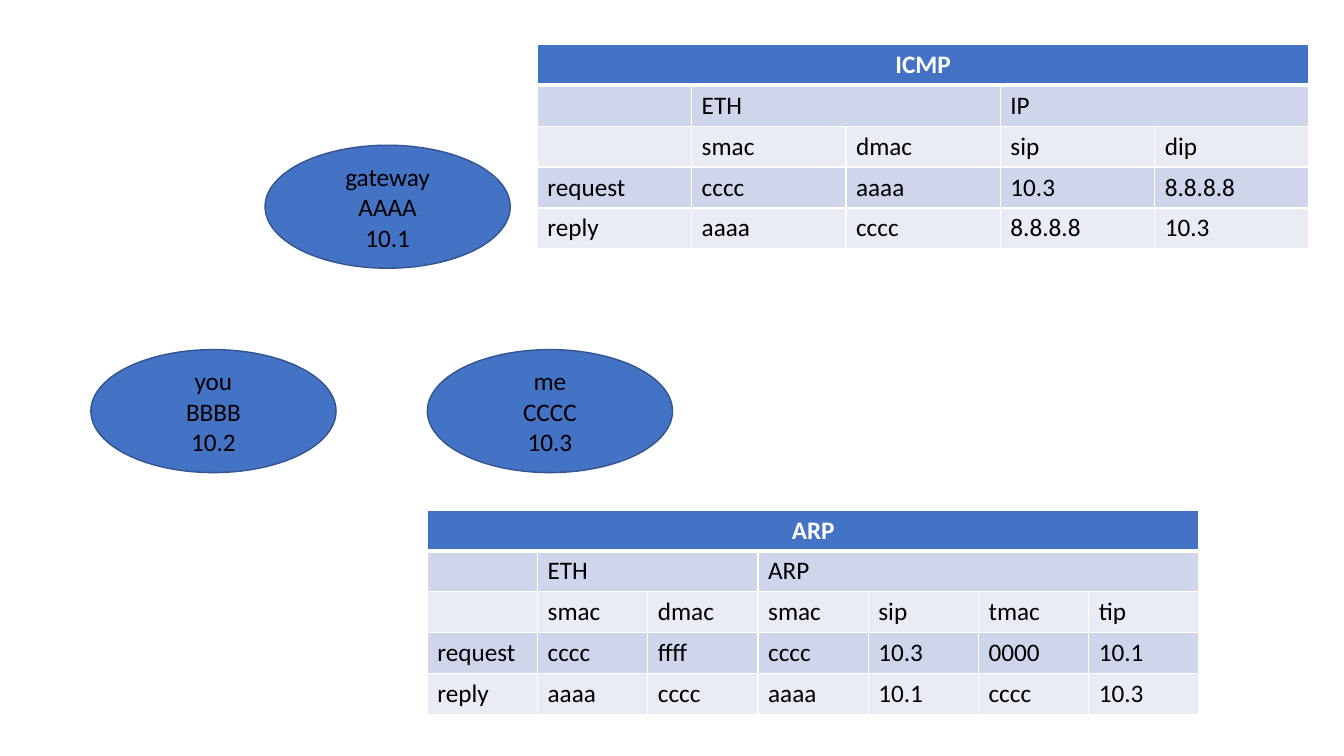
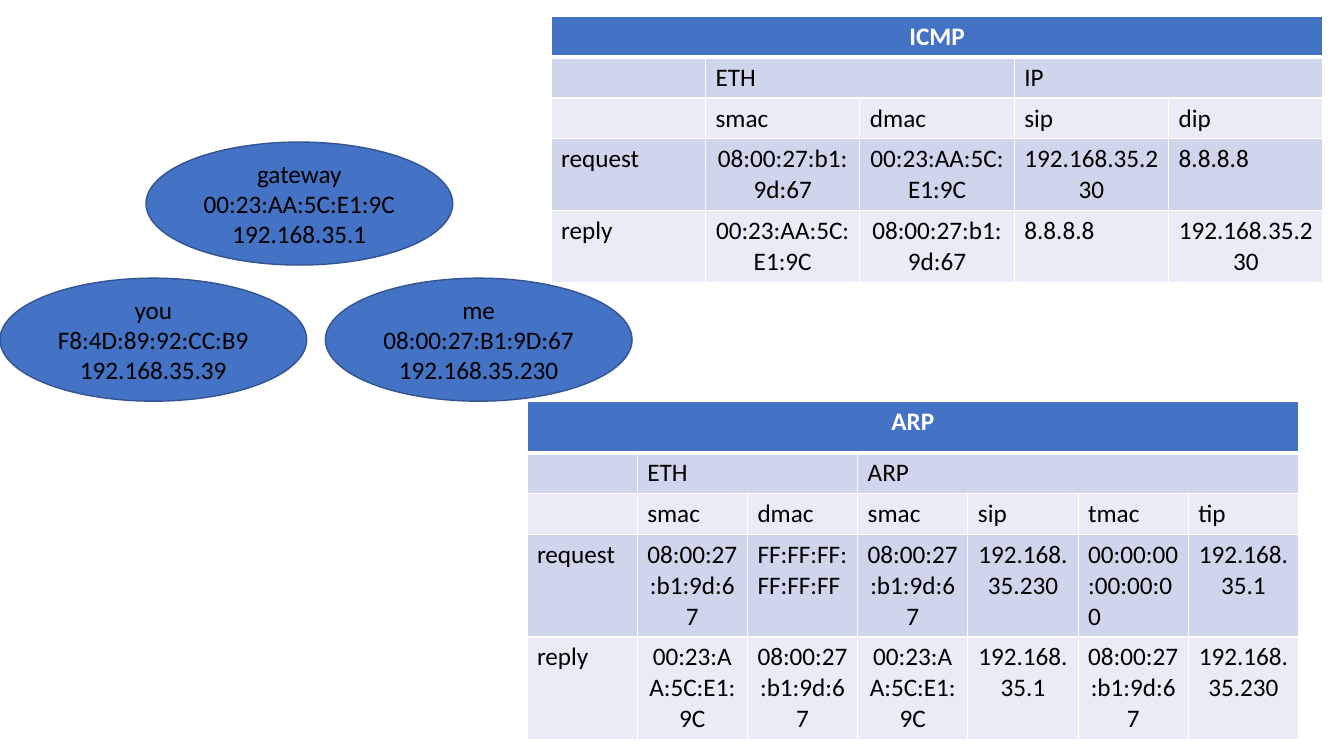
import dataclasses

import pptx
import pptx.dml.color
import pptx.enum.shapes
import pptx.enum.text
import pptx.oxml
import pptx.oxml.ns
import pptx.util

Cm = pptx.util.Cm
Pt = pptx.util.Pt
RGBColor = pptx.dml.color.RGBColor
CENTER = pptx.enum.text.PP_ALIGN.CENTER
LEFT = pptx.enum.text.PP_ALIGN.LEFT

BLUE = RGBColor(0x44, 0x72, 0xC4)
EDGE = RGBColor(0x32, 0x54, 0x91)
DARK = RGBColor(0xCF, 0xD5, 0xEA)
LIGHT = RGBColor(0xE9, 0xEB, 0xF5)
WHITE = RGBColor(0xFF, 0xFF, 0xFF)
BLACK = RGBColor(0x00, 0x00, 0x00)

FONT = "Calibri"
SIZE = Pt(18)
TABLE_W = 19.45
HEAD_H = 1.02
OVAL_H = 3.1
DNS = "8.8.8.8"


@dataclasses.dataclass
class Host:
    name: str
    mac: str
    ip: str


def write(frame, text, color, align, bold=False):
    frame.text = text
    for para in frame.paragraphs:
        para.alignment = align
        for run in para.runs:
            font = run.font
            font.name, font.size, font.bold = FONT, SIZE, bold
            font.color.rgb = color


def add_host(slide, host, left, top, width):
    oval = slide.shapes.add_shape(
        pptx.enum.shapes.MSO_SHAPE.OVAL,
        Cm(left), Cm(top), Cm(width), Cm(OVAL_H))
    oval.shadow.inherit = False
    oval.fill.solid()
    oval.fill.fore_color.rgb = BLUE
    oval.line.color.rgb = EDGE
    oval.line.width = Pt(1)
    frame = oval.text_frame
    frame.word_wrap = True
    frame.vertical_anchor = pptx.enum.text.MSO_ANCHOR.MIDDLE
    write(frame, "\n".join((host.name, host.mac.upper(), host.ip)),
          BLACK, CENTER)


def add_edges(cell, row):
    """Draw white cell borders, with a thick rule below the title row."""
    wide = {0: "lnB", 1: "lnT"}.get(row)
    props = cell._tc.get_or_add_tcPr()
    for pos, side in enumerate(("lnL", "lnR", "lnT", "lnB")):
        width = Pt(3 if side == wide else 1)
        props.insert(pos, pptx.oxml.parse_xml(
            f'<a:{side} {pptx.oxml.ns.nsdecls("a")} w="{width}">'
            f'<a:solidFill><a:srgbClr val="{WHITE}"/></a:solidFill>'
            f'</a:{side}>'))


def add_table(slide, left, top, rows, spans, heights, mid):
    """Add a packet table; spans lists (row, column, count) merges and
    mid holds the values that are centred."""
    count = len(rows[-1])
    frame = slide.shapes.add_table(
        len(rows), count, Cm(left), Cm(top), Cm(TABLE_W), Cm(sum(heights)))
    table = frame.table
    for col in table.columns:
        col.width = Cm(TABLE_W / count)
    for row, height in zip(table.rows, heights):
        row.height = Cm(height)
    for r, values in enumerate(rows):
        head = r == 0
        fill = BLUE if head else DARK if r % 2 else LIGHT
        for c in range(count):
            cell = table.cell(r, c)
            cell.fill.solid()
            cell.fill.fore_color.rgb = fill
            add_edges(cell, r)
            text = values[c] if c < len(values) else ""
            if text:
                align = CENTER if head or text in mid else LEFT
                write(cell.text_frame, text, WHITE if head else BLACK,
                      align, head)
    for r, c, size in spans:
        table.cell(r, c).merge(table.cell(r, c + size - 1))


def add_icmp(slide, left, top, me, gate, body, mid):
    rows = [
        ["ICMP"],
        ["", "ETH", "", "IP"],
        ["", "smac", "dmac", "sip", "dip"],
        ["request", me.mac, gate.mac, me.ip, DNS],
        ["reply", gate.mac, me.mac, DNS, me.ip],
    ]
    add_table(slide, left, top, rows, [(0, 0, 5), (1, 1, 2), (1, 3, 2)],
              [HEAD_H] * 3 + [body] * 2, mid)


def add_arp(slide, left, top, me, gate, cast, zero, head, body, mid):
    rows = [
        ["ARP"],
        ["", "ETH", "", "ARP"],
        ["", "smac", "dmac", "smac", "sip", "tmac", "tip"],
        ["request", me.mac, cast, me.mac, me.ip, zero, gate.ip],
        ["reply", gate.mac, me.mac, gate.mac, gate.ip, me.mac, me.ip],
    ]
    add_table(slide, left, top, rows, [(0, 0, 7), (1, 1, 2), (1, 3, 4)],
              [head] + [HEAD_H] * 2 + [body] * 2, mid)


def add_short(slide):
    """Show the exchange with shortened addresses."""
    gate = Host("gateway", "aaaa", "10.1")
    you = Host("you", "bbbb", "10.2")
    me = Host("me", "cccc", "10.3")
    add_host(slide, gate, 6.68, 3.66, 6.18)
    add_host(slide, you, 2.29, 8.81, 6.18)
    add_host(slide, me, 10.77, 8.81, 6.18)
    add_icmp(slide, 13.54, 1.12, me, gate, HEAD_H, ())
    add_arp(slide, 10.77, 12.85, me, gate, "ffff", "0000",
            HEAD_H, HEAD_H, ())


def add_full(slide):
    """Show the exchange with full addresses."""
    gate = Host("gateway", "00:23:AA:5C:E1:9C", "192.168.35.1")
    you = Host("you", "F8:4D:89:92:CC:B9", "192.168.35.39")
    me = Host("me", "08:00:27:b1:9d:67", "192.168.35.230")
    mid = (gate.mac, gate.ip, me.mac, me.ip)
    add_host(slide, gate, 3.68, 3.58, 7.73)
    add_host(slide, me, 8.2, 7.01, 7.73)
    add_host(slide, you, 0, 7.01, 7.73)
    add_icmp(slide, 13.89, 0.41, me, gate, 1.8, mid)
    add_arp(slide, 13.28, 10.11, me, gate, "FF:FF:FF:FF:FF:FF",
            "00:00:00:00:00:00", 1.3, 2.58, mid)


def main():
    deck = pptx.Presentation()
    deck.slide_width, deck.slide_height = Cm(33.87), Cm(19.05)
    blank = deck.slide_layouts[6]
    for fill in (add_short, add_full):
        fill(deck.slides.add_slide(blank))
    deck.save("out.pptx")


if __name__ == "__main__":
    main()
